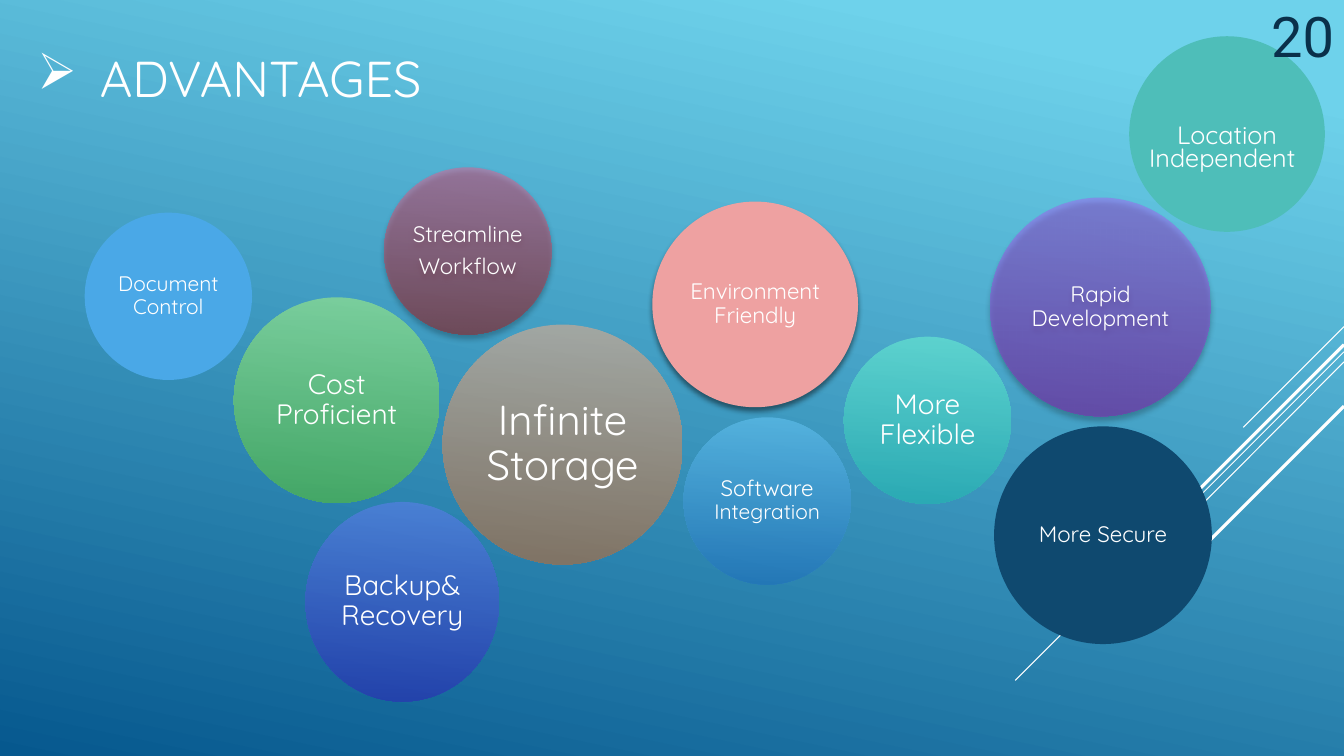
import pptx
import pptx.dml.color
import pptx.enum.shapes
import pptx.enum.text
import pptx.oxml
import pptx.oxml.ns
import pptx.util
from dataclasses import dataclass

Inches = pptx.util.Inches
Pt = pptx.util.Pt
qn = pptx.oxml.ns.qn
Align = pptx.enum.text.PP_ALIGN
Anchor = pptx.enum.text.MSO_ANCHOR
DRAWING = pptx.oxml.ns.nsdecls("a")


@dataclass(frozen=True)
class Theme:
    font: str = "Quicksand"
    number_font: str = "Roboto"
    white: str = "FFFFFF"
    number_color: str = "0A304A"
    title: int = 36
    number: int = 40
    huge: int = 30
    large: int = 20
    medium: int = 18
    normal: int = 16
    small: int = 15
    background: tuple = ((10, "6ED2EB"), (100, "06588E"))
    orange: tuple = ("FFAE82", "D7681F")
    lime: tuple = ("B1FE77", "5ECC20")
    mint: tuple = ("6EFCD2", "20C1AE")
    sky: tuple = ("6ACAFA", "1E6DBE")
    indigo: tuple = ("677DF7", "311DBA")
    violet: tuple = ("A364F1", "8F1DB5")
    crimson: tuple = ("E66091", "AA1E1F")
    pink: str = "EEA1A1"
    navy: str = "0F496F"
    blue: str = "4AA8E7"
    teal: str = "4EBEB9"


def apply(target, formats):
    for name, value in formats.items():
        setattr(target, name, value)


def rgb(color):
    return pptx.dml.color.RGBColor.from_string(color)


class SlideBuilder:
    def __init__(self, page, theme):
        self.page, self.theme = page, theme

    def gradient(self, fill, parent, stops, angle, alpha=100):
        """Swap a solid fill for a linear gradient."""
        fill.solid()
        marks = "".join(
            f'<a:gs pos="{place * 1000}"><a:srgbClr val="{color}">'
            f'<a:alpha val="{alpha * 1000}"/></a:srgbClr></a:gs>'
            for place, color in stops)
        solid = next(parent.iter(qn("a:solidFill")))
        solid.getparent().replace(solid, pptx.oxml.parse_xml(
            f'<a:gradFill {DRAWING} rotWithShape="1"><a:gsLst>{marks}</a:gsLst>'
            f'<a:lin ang="{angle * 60000}" scaled="0"/></a:gradFill>'))

    def background(self):
        self.gradient(self.page.background.fill, self.page.element,
                      self.theme.background, 102)

    def span(self, para, text, size, color=None, font=None):
        span = para.add_run()
        span.text = text
        apply(span.font, {"size": Pt(size), "name": font or self.theme.font})
        span.font.color.rgb = rgb(color or self.theme.white)

    def title(self, text, left, top, width, height):
        box = self.page.shapes.title
        apply(box, {"left": Inches(left), "top": Inches(top),
                    "width": Inches(width), "height": Inches(height)})
        apply(box.text_frame, {"vertical_anchor": Anchor.MIDDLE, "word_wrap": True,
                               "auto_size": pptx.enum.text.MSO_AUTO_SIZE.NONE})
        para = box.text_frame.paragraphs[0]
        para.alignment = Align.LEFT
        self.span(para, text, self.theme.title)
        props = para._p.get_or_add_pPr()
        props.set("marL", str(Inches(0.62)))
        props.set("indent", str(-Inches(0.62)))
        props.append(pptx.oxml.parse_xml(f'<a:buChar {DRAWING} char="➢"/>'))

    def line(self, right_y, left_x, left_y, weight):
        line = self.page.shapes.add_connector(
            pptx.enum.shapes.MSO_CONNECTOR.STRAIGHT, Inches(13.33), Inches(right_y),
            Inches(left_x), Inches(left_y))
        line.line.color.rgb = rgb(self.theme.white)
        line.line.width = Pt(weight)
        line._element.spPr.append(pptx.oxml.parse_xml(f"<a:effectLst {DRAWING}/>"))

    def bubble(self, paras, left, top, width, height, fill, inset=0.02,
               spacing=0.9, shadow=False):
        """Draw a circle; paras is a list of paragraphs of (text, size) spans."""
        circle = self.page.shapes.add_shape(
            pptx.enum.shapes.MSO_SHAPE.OVAL, Inches(left), Inches(top),
            Inches(width), Inches(height))
        if isinstance(fill, tuple):
            self.gradient(circle.fill, circle._element.spPr,
                          zip((0, 100), fill), 90, alpha=50)
        else:
            circle.fill.solid()
            circle.fill.fore_color.rgb = rgb(fill)
        circle.line.fill.background()
        circle.shadow.inherit = False
        if shadow:
            circle._element.spPr.find(qn("a:effectLst")).append(pptx.oxml.parse_xml(
                f'<a:outerShdw {DRAWING} blurRad="{Pt(4)}" dist="{Pt(3)}" '
                'dir="5400000" rotWithShape="0"><a:srgbClr val="000000">'
                '<a:alpha val="46000"/></a:srgbClr></a:outerShdw>'))
        frame = circle.text_frame
        apply(frame, {"word_wrap": True, "vertical_anchor": Anchor.MIDDLE})
        apply(frame, {f"margin_{side}": Inches(inset)
                      for side in ("left", "top", "right", "bottom")})
        for index, spans in enumerate(paras):
            para = frame.add_paragraph() if index else frame.paragraphs[0]
            apply(para, {"alignment": Align.CENTER, "line_spacing": spacing})
            if index < len(paras) - 1:
                para.space_after = Pt(0.35 * spans[0][1])
            for text, size in spans:
                self.span(para, text, size)

    def label(self, text, left, top, width, height, size, color=None, font=None,
              align=Align.LEFT, anchor=Anchor.TOP):
        box = self.page.shapes.add_textbox(
            Inches(left), Inches(top), Inches(width), Inches(height))
        apply(box.text_frame, {"word_wrap": True, "vertical_anchor": anchor})
        para = box.text_frame.paragraphs[0]
        para.alignment = align
        self.span(para, text, size, color, font)


def main():
    theme = Theme()
    deck = pptx.Presentation()
    apply(deck, {"slide_width": Inches(13.33), "slide_height": Inches(7.5)})
    slide = SlideBuilder(deck.slides.add_slide(deck.slide_layouts[5]), theme)

    # Background, diagonal lines and title
    slide.background()
    for line in ((3.24, 12.33, 4.24, 0.75), (3.49, 10.07, 6.75, 0.75),
                 (3.59, 11.26, 5.67, 0.75), (3.42, 11.42, 5.33, 2.25),
                 (4.03, 11.94, 5.42, 2.25)):
        slide.line(*line)
    slide.title("ADVANTAGES", 0.27, 0.37, 9.33, 0.8)

    # Advantage bubbles: text, size, left, top, width, height, fill, inset, shadow
    for text, size, left, top, width, height, fill, inset, shadow in (
            ("Infinite Storage", theme.huge, 4.39, 3.22, 2.38, 2.38, theme.orange, 0.04, False),
            ("Environment Friendly", theme.normal, 6.47, 2, 2.04, 2.04, theme.pink, 0.02, True),
            ("Cost Proficient", theme.large, 2.32, 2.95, 2.04, 2.04, theme.lime, 0.03, False),
            ("More Secure", theme.normal, 9.86, 4.23, 2.16, 2.16, theme.navy, 0.02, False),
            ("More Flexible", theme.large, 8.37, 3.34, 1.66, 1.66, theme.mint, 0.03, False),
            ("Backup& Recovery", theme.large, 3.03, 4.98, 1.92, 1.98, theme.indigo, 0.03, False),
            ("Rapid Development", theme.normal, 9.82, 1.96, 2.19, 2.17, theme.violet, 0.02, True),
            ("Document Control", theme.small, 0.84, 2.11, 1.66, 1.66, theme.blue, 0.02, False)):
        slide.bubble([[(text, size)]], left, top, width, height, fill, inset, shadow=shadow)

    # Bubbles with mixed sizes or two paragraphs
    slide.bubble([[("Software ", theme.normal), ("Integration", theme.small)]],
                 6.78, 4.14, 1.66, 1.66, theme.sky)
    slide.bubble([[("Streamline", theme.normal)], [("Workflow", theme.normal)]],
                 3.81, 1.66, 1.66, 1.66, theme.crimson, shadow=True)

    # Corner bubble and page number
    slide.bubble([[("Location", theme.medium)]], 11.2, 0.36, 1.94, 1.94,
                 theme.teal, inset=0.05, spacing=1.0)
    slide.label("Independent", 11.3, 1.36, 1.94, 0.4, theme.medium)
    slide.label("20", 12.08, 0, 1.25, 0.73, theme.number, theme.number_color,
                theme.number_font, Align.RIGHT, Anchor.BOTTOM)

    deck.save("out.pptx")


if __name__ == "__main__":
    main()
